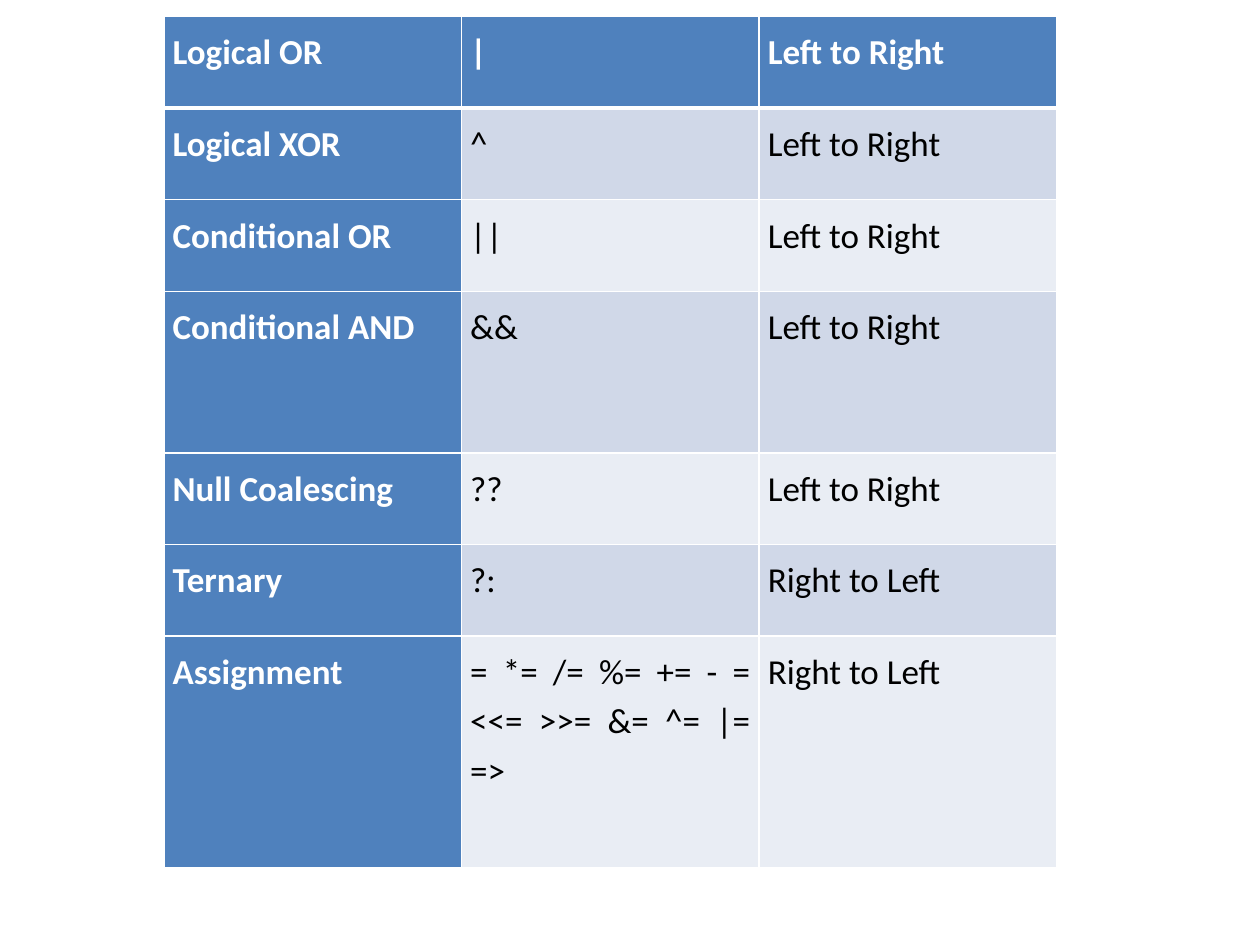
import pptx
import pptx.dml.color
import pptx.enum.text
import pptx.oxml
import pptx.oxml.ns
import pptx.util

Pt = pptx.util.Pt
COLOURS = {
    "accent": "4F81BD",
    "band_dark": "D0D8E8",
    "band_light": "E9EDF4",
    "white": "FFFFFF",
    "black": "000000",
}
OPERATORS = [
    ("Logical OR", "|", "Left to Right"),
    ("Logical XOR", "^", "Left to Right"),
    ("Conditional OR", "||", "Left to Right"),
    ("Conditional AND", "&&", "Left to Right"),
    ("Null Coalescing", "??", "Left to Right"),
    ("Ternary", "?:", "Right to Left"),
    ("Assignment", "= *= /= %= += - = <<= >>= &= ^= |= =>", "Right to Left"),
]
ROW_HEIGHT = 52.4
TALL_ROWS = {3: 92.3, 6: 132.5}
COLUMN_WIDTH = 170.1


def colour(name):
    return pptx.dml.color.RGBColor.from_string(COLOURS[name])


def write_text(frame, text, *, size=20, font="Calibri", ink="black", bold=False):
    para = frame.paragraphs[0]
    para.alignment = pptx.enum.text.PP_ALIGN.JUSTIFY
    para.line_spacing = 1.15
    para.space_after = Pt(10)
    span = para.add_run()
    span.text = text
    span.font.size = Pt(size)
    span.font.name = font
    span.font.bold = bold
    span.font.color.rgb = colour(ink)


class TablePage:
    def __init__(self, page, border="white", inset=5.0):
        self.page = page
        self.border = border
        self.inset = inset

    def draw_borders(self, cell, widths):
        """Set the left, right, top and bottom borders, widths in points."""
        properties = cell._tc.get_or_add_tcPr()
        for side, width in zip("LRTB", widths):
            properties.append(pptx.oxml.parse_xml(
                f'<a:ln{side} {pptx.oxml.ns.nsdecls("a")} w="{Pt(width)}">'
                f'<a:solidFill><a:srgbClr val="{COLOURS[self.border]}"/></a:solidFill>'
                f'</a:ln{side}>'))

    def fill_cell(self, cell, text, row, column):
        heading = row == 0 or column == 0
        band = "band_dark" if row % 2 else "band_light"
        cell.margin_left = cell.margin_right = Pt(self.inset)
        cell.margin_top = cell.margin_bottom = Pt(self.inset)
        self.draw_borders(cell, (1, 1, 3 if row == 1 else 1, 3 if row == 0 else 1))
        cell.fill.solid()
        cell.fill.fore_color.rgb = colour("accent" if heading else band)
        write_text(cell.text_frame, text, ink="white" if heading else "black", bold=heading)

    def add_table(self, rows, left, top, column_width, heights):
        columns = len(rows[0])
        table = self.page.shapes.add_table(
            len(rows), columns, Pt(left), Pt(top),
            Pt(column_width * columns), Pt(sum(heights))).table
        table.first_col = True
        for column in table.columns:
            column.width = Pt(column_width)
        for row, (texts, height) in enumerate(zip(rows, heights)):
            table.rows[row].height = Pt(height)
            for column, text in enumerate(texts):
                self.fill_cell(table.cell(row, column), text, row, column)


def main():
    deck = pptx.Presentation()
    deck.slide_width, deck.slide_height = Pt(720), Pt(540)
    blank_layout = deck.slide_layouts[6]
    page = TablePage(deck.slides.add_slide(blank_layout))
    heights = [TALL_ROWS.get(row, ROW_HEIGHT) for row in range(len(OPERATORS))]
    page.add_table(OPERATORS, 93.6, 9.3, COLUMN_WIDTH, heights)
    deck.save("out.pptx")


if __name__ == "__main__":
    main()
